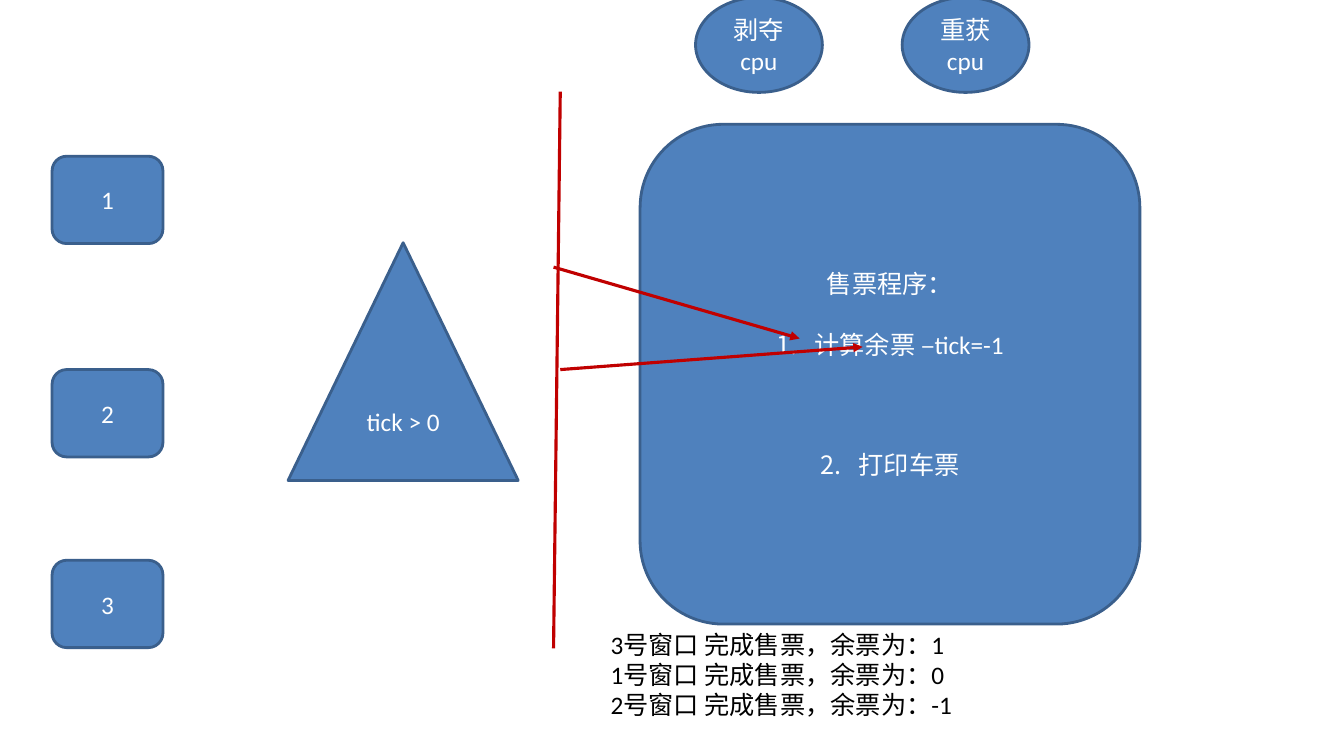
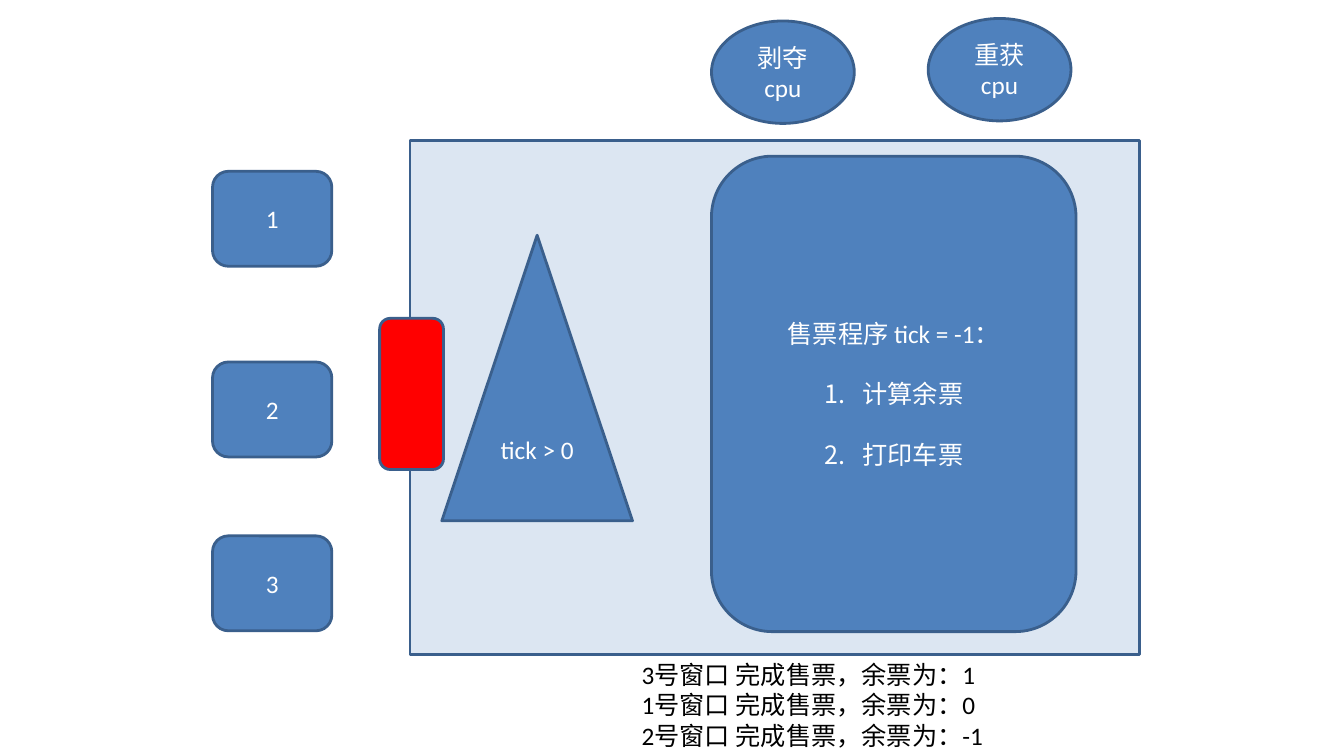
"""Build two slides on ticket windows that share one counter."""
from lxml.etree import SubElement
from pptx import Presentation
from pptx.dml.color import RGBColor
from pptx.enum.shapes import MSO_CONNECTOR as Link, MSO_SHAPE as Kind
from pptx.enum.text import MSO_ANCHOR as Anchor, MSO_AUTO_SIZE as Fit, PP_ALIGN as Align
from pptx.oxml.ns import qn
from pptx.util import Inches, Pt

WIDTH, HEIGHT = 13.33, 7.5
COLS, ROWS = 160, 90
BLUE, EDGE, PALE = "4F81BD", "3A5F8C", "DCE6F2"
RED, DARK, WHITE, BLACK = "FF0000", "C00000", "FFFFFF", "000000"
FONT, SIZE, BLANK, INDENT = "Calibri", 18, 21.5, 0.38
SALES = "3号窗口 完成售票，余票为：1\n1号窗口 完成售票，余票为：0\n2号窗口 完成售票，余票为：-1"


def paint(item, color):
    if hasattr(item, "solid"):
        item.solid()
        item = item.fore_color
    item.rgb = RGBColor.from_string(color)


def number(para):
    props = para._p.get_or_add_pPr()
    props.set("marL", str(Inches(INDENT)))
    props.set("indent", str(Inches(-INDENT)))
    SubElement(props, qn("a:buFont"), typeface="+mj-lt")
    SubElement(props, qn("a:buAutoNum"), type="arabicPeriod")


def write(frame, text, color=WHITE, align=Align.CENTER, gaps=()):
    frame.word_wrap = True
    for i, words in enumerate(text.split("\n")):
        para = frame.paragraphs[0] if i == 0 else frame.add_paragraph()
        para.alignment = align
        if i and gaps:
            para.space_before = Pt(BLANK * gaps[i - 1])
            number(para)
        run = para.add_run()
        run.text = words
        run.font.name, run.font.size = FONT, Pt(SIZE)
        paint(run.font.color, color)


class Deck:
    def __init__(self):
        self.prs = Presentation()
        self.prs.slide_width, self.prs.slide_height = Inches(WIDTH), Inches(HEIGHT)

    def page(self):
        self.slide = self.prs.slides.add_slide(self.prs.slide_layouts[6])

    def grid(self, *cells):
        units = WIDTH / COLS, HEIGHT / ROWS
        return [Inches(cell * units[i % 2]) for i, cell in enumerate(cells)]

    def shape(self, kind, cells, text="", fill=BLUE, gaps=()):
        box = self.slide.shapes.add_shape(kind, *self.grid(*cells))
        box.shadow.inherit = False
        paint(box.fill, fill)
        paint(box.line.color, EDGE)
        box.line.width = Pt(2)
        if text:
            box.text_frame.vertical_anchor = Anchor.MIDDLE
            write(box.text_frame, text, gaps=gaps)

    def note(self, cells, text):
        frame = self.slide.shapes.add_textbox(*self.grid(*cells)).text_frame
        write(frame, text, color=BLACK, align=Align.LEFT)
        frame.auto_size = Fit.SHAPE_TO_FIT_TEXT

    def line(self, cells, arrow=False):
        link = self.slide.shapes.add_connector(Link.STRAIGHT, *self.grid(*cells))
        paint(link.line.color, DARK)
        link.line.width = Pt(2.25)
        if arrow:
            SubElement(link.line._get_or_add_ln(), qn("a:tailEnd"), type="triangle")
        SubElement(link._element.spPr, qn("a:effectLst"))

    def windows(self, left, tops, size):
        for i, top in enumerate(tops, 1):
            self.shape(Kind.ROUNDED_RECTANGLE, (left, top, *size), str(i))

    def program(self, cells, text, gaps):
        self.shape(Kind.ROUNDED_RECTANGLE, cells, text, gaps=gaps)

    def check(self, cells):
        self.shape(Kind.ISOSCELES_TRIANGLE, cells, "tick > 0")

    def states(self, spots, size, split=""):
        for spot, word in zip(spots, ("剥夺", "重获")):
            self.shape(Kind.OVAL, (*spot, *size), word + split + "cpu")


def race(deck):
    deck.page()
    deck.windows(6.2, (18.6, 44, 66.7), (13.2, 10.4))
    deck.program((76.2, 14.8, 59.5, 59.5),
                 "售票程序：\n计算余票 –tick=-1\n打印车票", (1, 3))
    deck.check((34.3, 28.9, 27.4, 28.3))
    deck.states(((82.8, -0.3), (107.4, -0.3)), (15.1, 11.3), split="\n")
    deck.note((71.5, 74.3, 79.3, 12.1), SALES)
    deck.line((66.7, 10.9, 65.9, 77.2))
    deck.line((65.9, 31.8, 95.2, 40.3), arrow=True)
    deck.line((66.7, 44, 102.7, 41.3), arrow=True)


def lock(deck):
    deck.page()
    deck.shape(Kind.RECTANGLE, (48.8, 16.7, 86.9, 61.2), fill=PALE)
    deck.windows(25.3, (20.4, 43.1, 63.8), (14.2, 11.3))
    deck.program((84.7, 18.6, 43.4, 56.6),
                 "售票程序 tick = -1：\n计算余票\n打印车票", (1, 1))
    deck.check((52.6, 28, 22.7, 34))
    deck.states(((84.7, 2.5), (110.5, 2.2)), (17, 12.2))
    deck.note((75.2, 77.9, 69, 12.1), SALES)
    deck.shape(Kind.ROUNDED_RECTANGLE, (45.2, 37.9, 7.6, 18), fill=RED)


def main():
    deck = Deck()
    race(deck)
    lock(deck)
    deck.prs.save("out.pptx")


if __name__ == "__main__":
    main()
